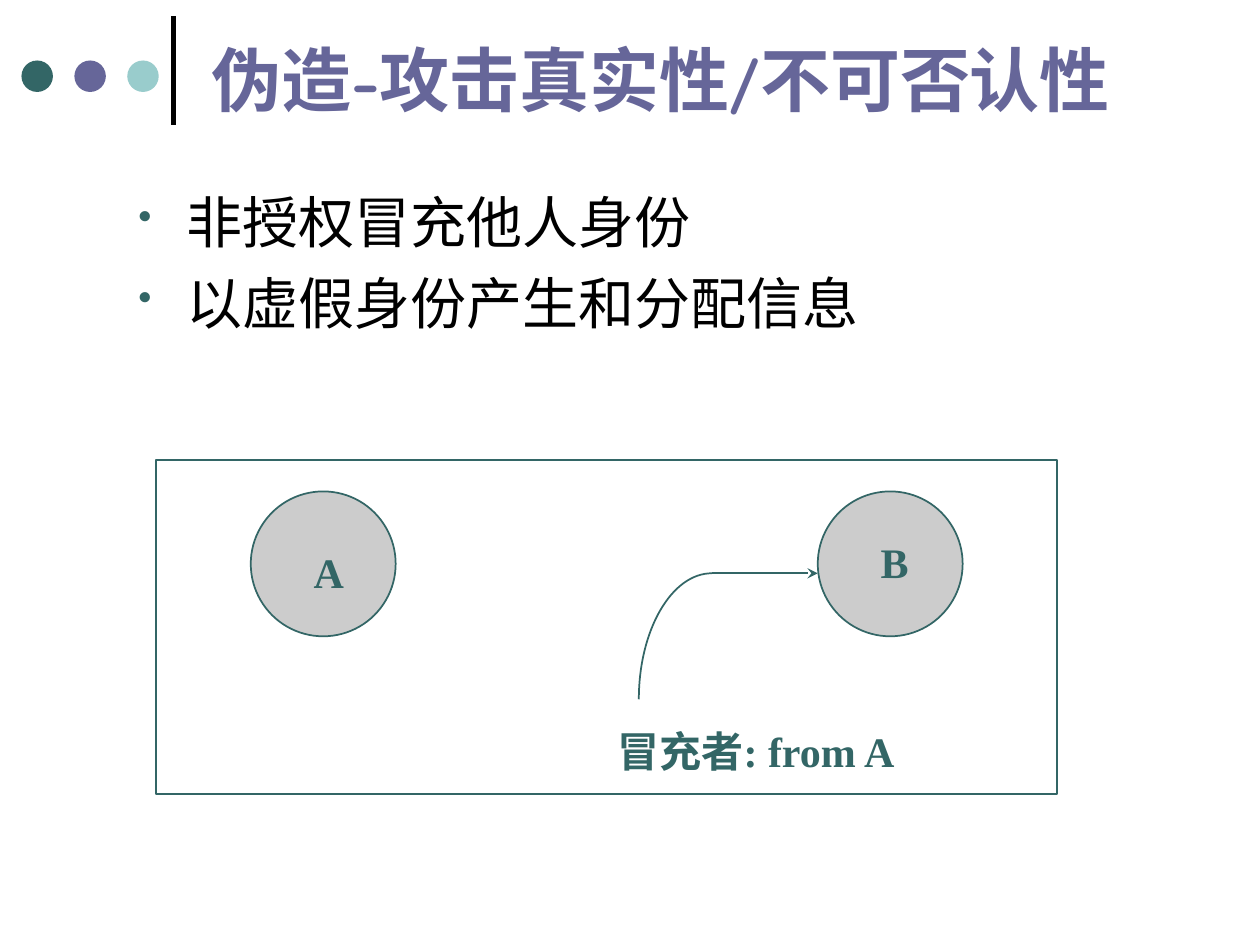
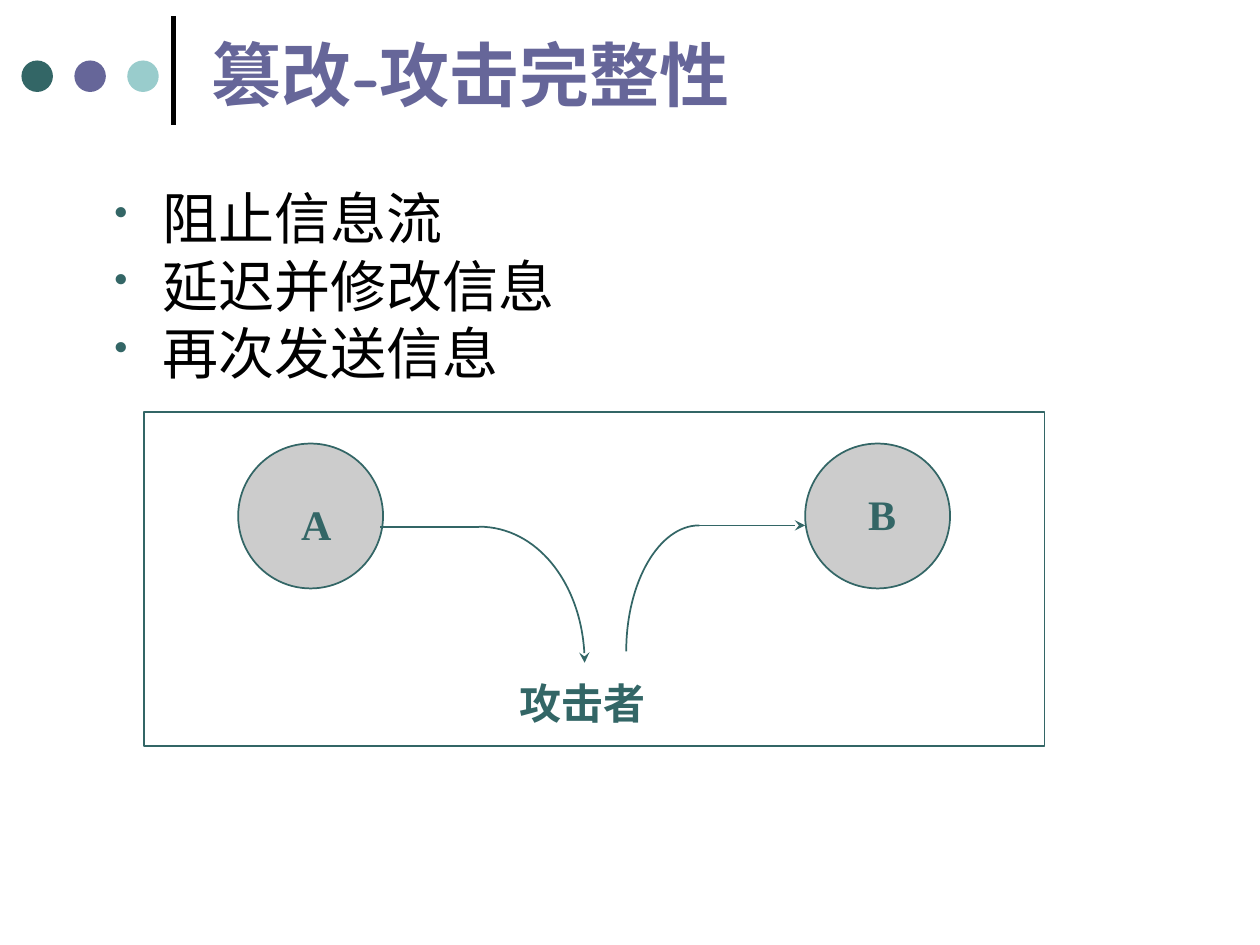
from lxml.etree import SubElement
from pptx import Presentation
from pptx.dml.color import RGBColor
from pptx.enum.lang import MSO_LANGUAGE_ID
from pptx.enum.shapes import MSO_CONNECTOR, MSO_SHAPE
from pptx.enum.text import MSO_ANCHOR, PP_ALIGN
from pptx.oxml.ns import qn
from pptx.util import Inches, Pt

COLORS = {"black": "000000", "white": "FFFFFF", "teal": "336666",
          "violet": "666699", "aqua": "99CCCC", "gray": "CCCCCC"}
SANS, SERIF = "Comic Neue", "Times New Roman"


def rgb(name):
    return RGBColor.from_string(COLORS[name])


class Deck:
    def __init__(self):
        self.prs = Presentation()
        self.prs.slide_width, self.prs.slide_height = Inches(10), Inches(7.5)
        self.slide = None

    # Shared slide frame: bar, three dots and title
    def page(self, title, top, height):
        self.slide = self.prs.slides.add_slide(self.prs.slide_layouts[6])
        self.line((1.38, 0.99), (1.38, 0.13), "black", 3)
        for i, color in enumerate(("teal", "violet", "aqua")):
            self.shape(MSO_SHAPE.OVAL, 0.17 + 0.42 * i, 0.48, 0.25, 0.25, color)
        frame = self.box(1.58, top, 8.42, height, [title])
        frame.vertical_anchor = MSO_ANCHOR.MIDDLE
        self.style(frame, SANS, 40, "violet", True)

    def style(self, frame, font, size, color, bold=False):
        for par in frame.paragraphs:
            for run in par.runs:
                run.font.name, run.font.size = font, Pt(size)
                run.font.bold = bold
                run.font.color.rgb = rgb(color)
                run.font.language_id = MSO_LANGUAGE_ID.SIMPLIFIED_CHINESE

    def box(self, x, y, w, h, lines, wrap=True, fill=None):
        box = self.slide.shapes.add_textbox(*map(Inches, (x, y, w, h)))
        if fill:
            box.fill.solid()
            box.fill.fore_color.rgb = rgb(fill)
        box.text_frame.word_wrap = wrap
        box.text_frame.text = "\n".join(lines)
        return box.text_frame

    def label(self, text, x, y, w, wrap=False, fill=None):
        frame = self.box(x, y, w, 0.5, [text], wrap, fill)
        frame.paragraphs[0].alignment = PP_ALIGN.CENTER
        self.style(frame, SERIF, 24, "teal", True)

    def list(self, x, y, w, h, items, gap=0):
        frame = self.box(x, y, w, h, items)
        for i, par in enumerate(frame.paragraphs):
            props = par._p.get_or_add_pPr()
            props.set("marL", str(Inches(0.38)))
            props.set("indent", str(-Inches(0.38)))
            tint = SubElement(props, qn("a:buClr"))
            SubElement(tint, qn("a:srgbClr"), val=COLORS["teal"])
            SubElement(props, qn("a:buSzPct"), val="70000")
            SubElement(props, qn("a:buChar"), char="•")
            par.space_before = Pt(gap if i else 0)
        self.style(frame, SANS, 32, "black")

    def shape(self, kind, x, y, w, h, fill, edge=None):
        shape = self.slide.shapes.add_shape(kind, *map(Inches, (x, y, w, h)))
        shape.shadow.inherit = False
        shape.fill.solid()
        shape.fill.fore_color.rgb = rgb(fill)
        if edge:
            self.stroke(shape, edge, 1)
        else:
            shape.line.fill.background()

    def stroke(self, shape, color, width, arrow=False):
        shape.line.color.rgb = rgb(color)
        shape.line.width = Pt(width)
        if arrow:
            SubElement(shape.line._get_or_add_ln(), qn("a:tailEnd"),
                       type="stealth")

    def line(self, start, end, color="teal", width=1, arrow=False):
        line = self.slide.shapes.add_connector(
            MSO_CONNECTOR.STRAIGHT, *map(Inches, start + end))
        self.stroke(line, color, width, arrow)
        SubElement(line._element.spPr, qn("a:effectLst"))

    # Quarter ellipse that bends towards a corner point
    def curve(self, start, corner, end, arrow=False):
        def pull(point):
            return tuple(p + 0.55 * (c - p) for p, c in zip(point, corner))

        first, *rest = [tuple(map(Inches, point)) for point in
                        (start, pull(start), pull(end), end)]
        form = self.slide.shapes.build_freeform(*first)
        form.add_line_segments(rest, close=False)
        shape = form.convert_to_shape()
        shape.shadow.inherit = False
        shape.fill.background()
        self.stroke(shape, "teal", 1, arrow)
        # Turn the segments into one Bézier curve
        parts = shape._element.findall(".//" + qn("a:lnTo"))
        trace = parts[0].getparent()
        bend = SubElement(trace, qn("a:cubicBezTo"))
        for part in parts:
            bend.append(part[0])
            trace.remove(part)

    # Parties A and B in a frame, with the forged message sent to B
    def scene(self, x, y):
        self.shape(MSO_SHAPE.RECTANGLE, x, y, 7.15, 2.65, "white", "teal")
        for left in (0.75, 5.25):
            self.shape(MSO_SHAPE.OVAL, x + left, y + 0.25, 1.15, 1.15,
                       "gray", "teal")
        self.label("A", x + 1.15, y + 0.64, 0.44, fill="gray")
        self.label("B", x + 5.65, y + 0.56, 0.42, fill="gray")
        turn = (x + 4.41, y + 0.9)
        self.curve((x + 3.83, y + 1.9), (x + 3.83, y + 0.9), turn)
        self.line(turn, (x + 5.25, y + 0.9), arrow=True)


def main():
    deck = Deck()

    # Slide 1: forgery
    deck.page("伪造-攻击真实性/不可否认性", 0, 1.25)
    deck.list(1, 1.44, 9, 2.08,
              ["非授权冒充他人身份", "以虚假身份产生和分配信息"], gap=8)
    deck.scene(1.24, 3.65)
    deck.label("冒充者: from A", 3.76, 5.71, 4.48, wrap=True)

    # Slide 2: tampering
    deck.page("篡改-攻击完整性", 0.12, 0.93)
    deck.list(0.81, 1.41, 9, 2.27,
              ["阻止信息流", "延迟并修改信息", "再次发送信息"])
    deck.scene(1.14, 3.27)
    deck.line((3.02, 4.18), (3.8, 4.18))
    deck.curve((3.8, 4.18), (4.64, 4.18), (4.64, 5.26), arrow=True)
    deck.label("攻击者", 4.02, 5.33, 1.2)

    deck.prs.save("out.pptx")


if __name__ == "__main__":
    main()
